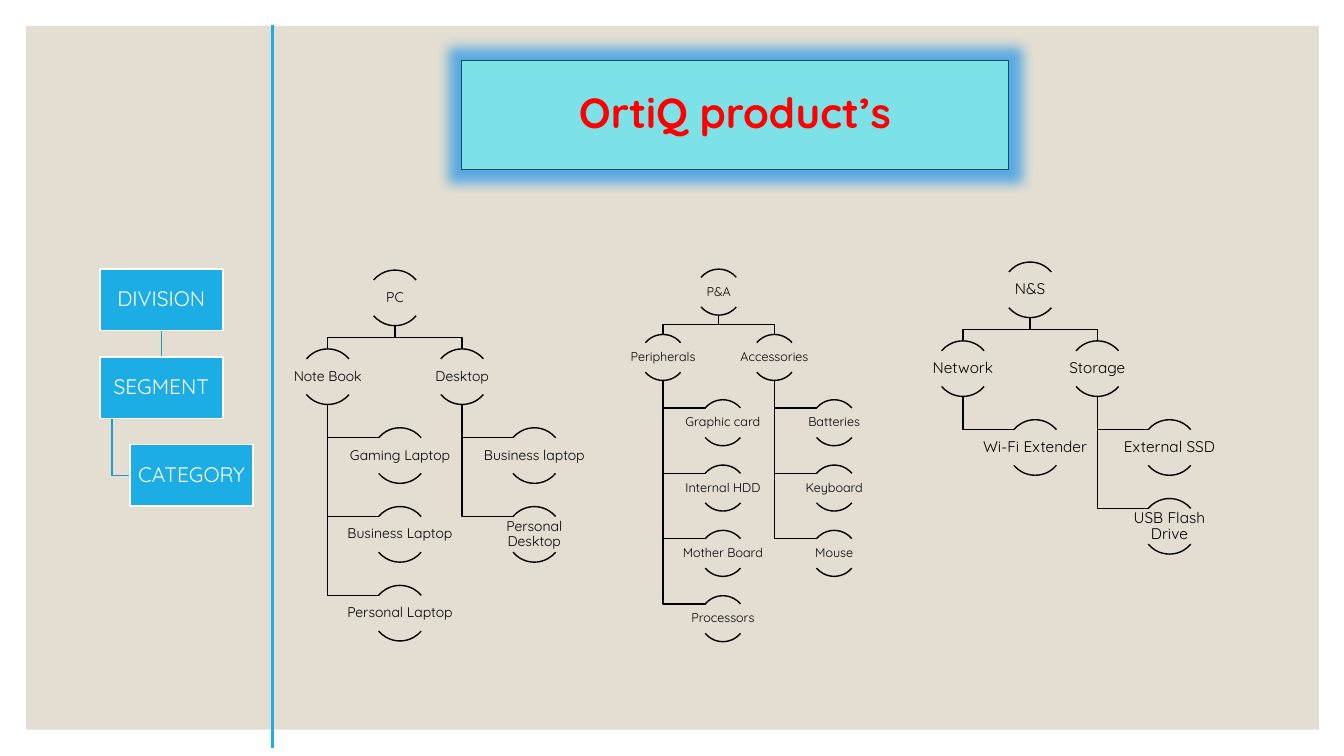
from lxml import etree
from pptx import Presentation
from pptx import util as u
from pptx.dml.color import RGBColor
from pptx.enum import shapes, text
from pptx.oxml import ns

FONT = "Quicksand"
SAND = RGBColor(0xE3, 0xDE, 0xD1)
BLUE = RGBColor(0x1C, 0xAD, 0xE4)
LINK_BLUE = RGBColor(0x19, 0x9D, 0xCF)
NAVY = RGBColor(0x0C, 0x4C, 0x64)
AQUA = RGBColor(0x7D, 0xE2, 0xE7)
GLOW = RGBColor(0x00, 0x88, 0xEC)
RED = RGBColor(0xFF, 0x00, 0x00)
BLACK = RGBColor(0x00, 0x00, 0x00)
WHITE = RGBColor(0xFF, 0xFF, 0xFF)

LEVELS = ["DIVISION", "SEGMENT", "CATEGORY"]
DIVISIONS = [
    ("PC", (2.7, 2.68, 3.15), 10, {
        "Note Book": ["Gaming Laptop", "Business Laptop", "Personal Laptop"],
        "Desktop": ["Business laptop", "Personal Desktop"],
    }),
    ("P&A", (6.12, 2.67, 2.61), 9, {
        "Peripherals": ["Graphic card", "Internal HDD", "Mother Board", "Processors"],
        "Accessories": ["Batteries", "Keyboard", "Mouse"],
    }),
    ("N&S", (9.0, 2.6, 3.15), 11, {
        "Network": ["Wi-Fi Extender"],
        "Storage": ["External SSD", "USB Flash Drive"],
    }),
]


def write(shape, words, size, color, bold=False):
    """Centre words in a shape."""
    frame = shape.text_frame
    frame.text = words
    frame.word_wrap = True
    frame.auto_size = text.MSO_AUTO_SIZE.NONE
    frame.vertical_anchor = text.MSO_ANCHOR.MIDDLE
    frame.margin_left = frame.margin_right = u.Inches(0.01)
    frame.margin_top = frame.margin_bottom = u.Inches(0.01)
    line = frame.paragraphs[0]
    line.alignment = text.PP_ALIGN.CENTER
    line.line_spacing = 0.9
    line.font.name = FONT
    line.font.size = u.Pt(size)
    line.font.bold = bold
    line.font.color.rgb = color


def paint(shape, fill, outline):
    """Set the fill and outline of a shape, None meaning no paint."""
    for part, color in ((shape.fill, fill), (shape.line.fill, outline)):
        if color is None:
            part.background()
        else:
            part.solid()
            part.fore_color.rgb = color
    if outline is not None:
        shape.line.width = u.Pt(1)


def add_box(slide, kind, box, fill, outline):
    """Add a flat preset shape in a box given in inches."""
    shape = slide.shapes.add_shape(kind, *map(u.Inches, box))
    shape.shadow.inherit = False
    paint(shape, fill, outline)
    return shape


def add_elbow(slide, points, color):
    """Add an open angular link through points given in inches."""
    start, *rest = [(u.Inches(x), u.Inches(y)) for x, y in points]
    builder = slide.shapes.build_freeform(*start)
    builder.add_line_segments(rest, close=False)
    link = builder.convert_to_shape()
    link.shadow.inherit = False
    paint(link, None, color)


def add_upright(slide, x, top, bottom, color, width):
    """Add a vertical line."""
    line = slide.shapes.add_connector(
        shapes.MSO_CONNECTOR.STRAIGHT, *map(u.Inches, (x, top, x, bottom)))
    line.line.color.rgb = color
    line.line.width = u.Pt(width)
    etree.SubElement(line.element.spPr, ns.qn("a:effectLst"))


def add_node(slide, center, top, diameter, name, size):
    """Add a name between an upper and a lower arc."""
    for start, end in ((132, 192), (24, 84)):
        arc = add_box(slide, shapes.MSO_SHAPE.ARC,
                      (center - diameter / 2, top, diameter, diameter), None, BLACK)
        arc.adjustments[0] = start
        arc.adjustments[1] = end
    label = slide.shapes.add_textbox(*map(u.Inches, (
        center - diameter, top + 0.18 * diameter, 2 * diameter, 0.64 * diameter)))
    write(label, name, size, BLACK)


def add_division(slide, box, division, size, segments):
    """Build a division tree in a box of left, top and width."""
    left, top, width = box
    diameter = width / 5.72
    pitch = 1.42 * diameter
    root = left + 2.21 * diameter
    add_node(slide, root, top, diameter, division, size)
    for column, (segment, categories) in enumerate(segments.items()):
        center = left + (1 + 2.42 * column) * diameter
        segment_top = top + pitch
        fork = top + 1.21 * diameter
        add_elbow(slide, [(root, top + diameter), (root, fork),
                          (center, fork), (center, segment_top)], BLACK)
        add_node(slide, center, segment_top, diameter, segment, size)
        for row, category in enumerate(categories, 1):
            category_top = segment_top + row * pitch
            branch = category_top + 0.18 * diameter
            add_elbow(slide, [(center, segment_top + diameter), (center, branch),
                              (center + 0.93 * diameter, branch)], BLACK)
            add_node(slide, center + 1.3 * diameter, category_top,
                     diameter, category, size)


def add_legend(slide, left, top):
    """Build the key to the three levels from its top left corner."""
    width, height, pitch, indent = 1.22, 0.61, 0.87, 0.3
    add_upright(slide, left + width / 2, top + height, top + pitch, LINK_BLUE, 1)
    trunk, category = left + 0.12, top + 2 * pitch + height / 2
    add_elbow(slide, [(trunk, top + pitch + height), (trunk, category),
                      (left + indent, category)], LINK_BLUE)
    for row, level in enumerate(LEVELS):
        shift = indent if level == "CATEGORY" else 0
        tile = add_box(slide, shapes.MSO_SHAPE.RECTANGLE,
                       (left + shift, top + row * pitch, width, height), BLUE, WHITE)
        write(tile, level, 15, WHITE)


def add_heading(slide, box, words):
    """Turn the title placeholder into a glowing banner."""
    title = slide.shapes.title
    title.left, title.top, title.width, title.height = map(u.Inches, box)
    write(title, words, 30, RED, bold=True)
    paint(title, AQUA, NAVY)
    effects = etree.SubElement(title.element.spPr, ns.qn("a:effectLst"))
    glow = etree.SubElement(effects, ns.qn("a:glow"), rad=str(u.Pt(18)))
    color = etree.SubElement(glow, ns.qn("a:srgbClr"), val=str(GLOW))
    etree.SubElement(color, ns.qn("a:alpha"), val="60000")


def add_panel(slide, box):
    """Lay the sand panel behind the title."""
    panel = add_box(slide, shapes.MSO_SHAPE.RECTANGLE, box, SAND, None)
    slide.shapes.title.element.addprevious(panel.element)


def main():
    """Build and save the slide."""
    deck = Presentation()
    deck.slide_width, deck.slide_height = u.Inches(13.33), u.Inches(7.5)
    slide = deck.slides.add_slide(deck.slide_layouts.get_by_name("Title Only"))
    add_panel(slide, (0.26, 0.26, 12.82, 6.98))
    add_heading(slide, (4.58, 0.6, 5.42, 1.08), "OrtiQ product’s")
    for division, box, size, segments in DIVISIONS:
        add_division(slide, box, division, size, segments)
    add_legend(slide, 0.99, 2.67)
    add_upright(slide, 2.7, 0.25, 7.42, BLUE, 2.25)
    deck.save("out.pptx")


if __name__ == "__main__":
    main()
